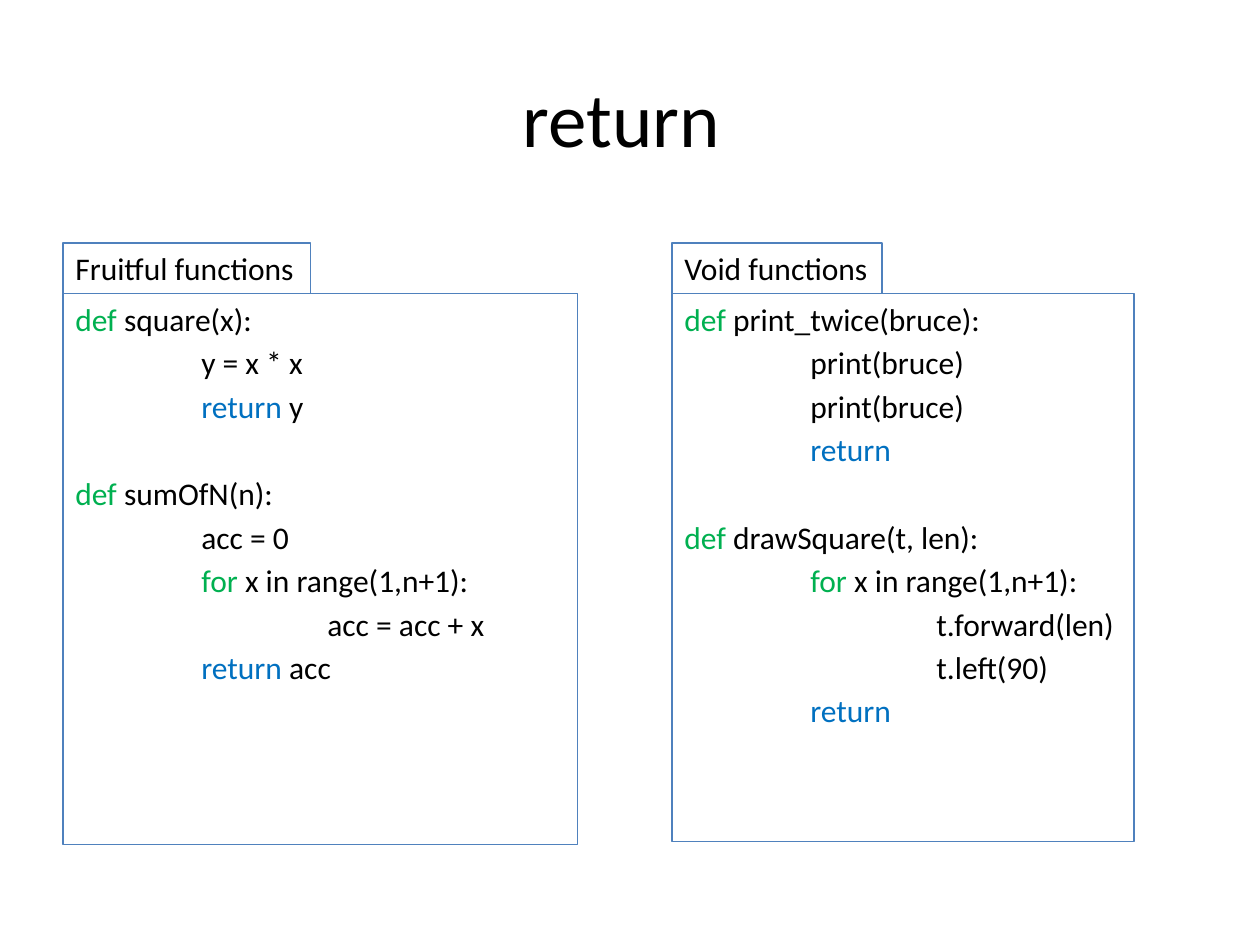
from pptx import Presentation
from pptx.dml.color import RGBColor
from pptx.enum.shapes import MSO_SHAPE
from pptx.enum.text import MSO_ANCHOR, PP_ALIGN
from pptx.util import Pt

RECT = MSO_SHAPE.RECTANGLE
TOP, MIDDLE = MSO_ANCHOR.TOP, MSO_ANCHOR.MIDDLE
LEFT, CENTER = PP_ALIGN.LEFT, PP_ALIGN.CENTER

BLACK = RGBColor(0x00, 0x00, 0x00)
GREEN = RGBColor(0x00, 0xB0, 0x50)
BLUE = RGBColor(0x00, 0x70, 0xC0)
BORDER = RGBColor(0x4F, 0x81, 0xBD)
KEYWORDS = {"def": GREEN, "for": GREEN, "return": BLUE}

INDENT = 72
LINE_GAP = 3.2
BLOCK_GAP = 28.4
BOX_TOP = 167.9
LABEL_HEIGHT = 29

prs = Presentation()
prs.slide_width, prs.slide_height = Pt(720), Pt(540)
s = prs.slides.add_slide(prs.slide_layouts[6])


def add_run(p, text, color=BLACK, size=18):
    r = p.add_run()
    r.text = text
    r.font.color.rgb = color
    for name, value in {"name": "Calibri", "size": Pt(size)}.items():
        setattr(r.font, name, value)


def add_box(left, top, width, height, wrap):
    sp = s.shapes.add_shape(RECT, Pt(left), Pt(top), Pt(width), Pt(height))
    sp.shadow.inherit = False
    sp.fill.background()
    sp.line.color.rgb = BORDER
    sp.line.width = Pt(0.75)
    tf = sp.text_frame
    for name, value in {"word_wrap": wrap, "vertical_anchor": TOP}.items():
        setattr(tf, name, value)
    tf.paragraphs[0].alignment = LEFT
    return tf


# Title
tf = s.shapes.add_textbox(Pt(36), Pt(21.6), Pt(648), Pt(90)).text_frame
tf.word_wrap = True
tf.vertical_anchor = MIDDLE
tf.paragraphs[0].alignment = CENTER
add_run(tf.paragraphs[0], "return ", size=44)

# Each column: left, label, label width, box width, box height,
# functions as lists of (indent level, code line)
columns = [
    (36, "Fruitful functions", 141.4, 294, 314.5, [
        [(0, "def square(x):"), (1, "y = x * x"), (1, "return y")],
        [(0, "def sumOfN(n):"), (1, "acc = 0"), (1, "for x in range(1,n+1):"),
         (2, "acc = acc + x"), (1, "return acc")],
    ]),
    (384, "Void functions", 120, 264, 313, [
        [(0, "def print_twice(bruce):"), (1, "print(bruce)"),
         (1, "print(bruce)"), (1, "return")],
        [(0, "def drawSquare(t, len):"), (1, "for x in range(1,n+1):"),
         (2, "t.forward(len)"), (2, "t.left(90)"), (1, "return")],
    ]),
]

for left, label, label_width, width, height, functions in columns:
    # Code box
    tf = add_box(left, BOX_TOP, width, height, True)
    for f, function in enumerate(functions):
        for n, (level, line) in enumerate(function):
            first = f == 0 and n == 0
            p = tf.paragraphs[0] if first else tf.add_paragraph()
            p.alignment = LEFT
            if not first:
                p.space_before = Pt(LINE_GAP if n else BLOCK_GAP)
            p._p.get_or_add_pPr().set("marL", str(Pt(INDENT * level)))
            word, space, rest = line.partition(" ")
            if word in KEYWORDS:
                add_run(p, word + space, KEYWORDS[word])
                if rest:
                    add_run(p, rest)
            else:
                add_run(p, line)

    # Column label
    tf = add_box(left, BOX_TOP - LABEL_HEIGHT, label_width, LABEL_HEIGHT, False)
    add_run(tf.paragraphs[0], label)

prs.save("out.pptx")
